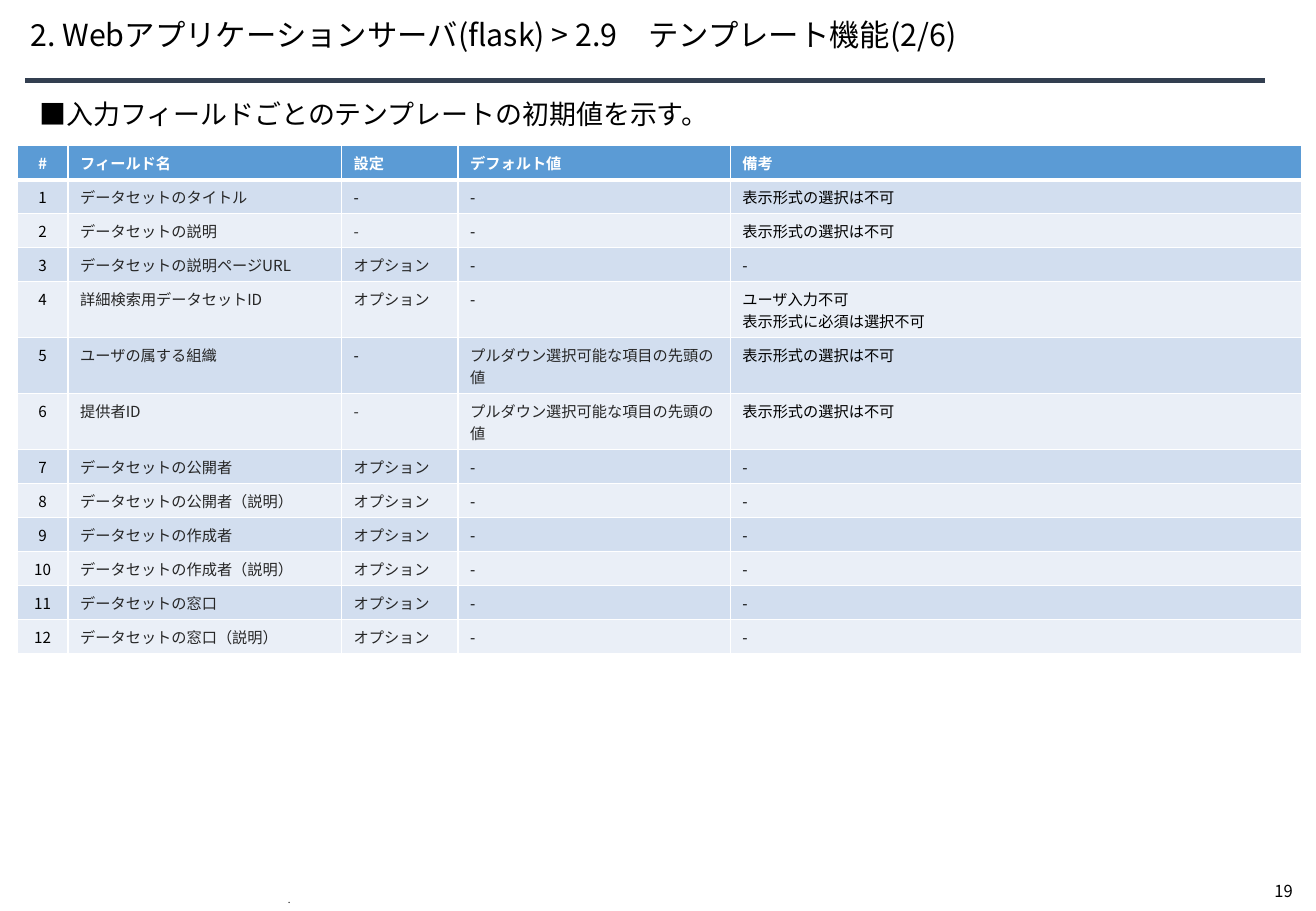
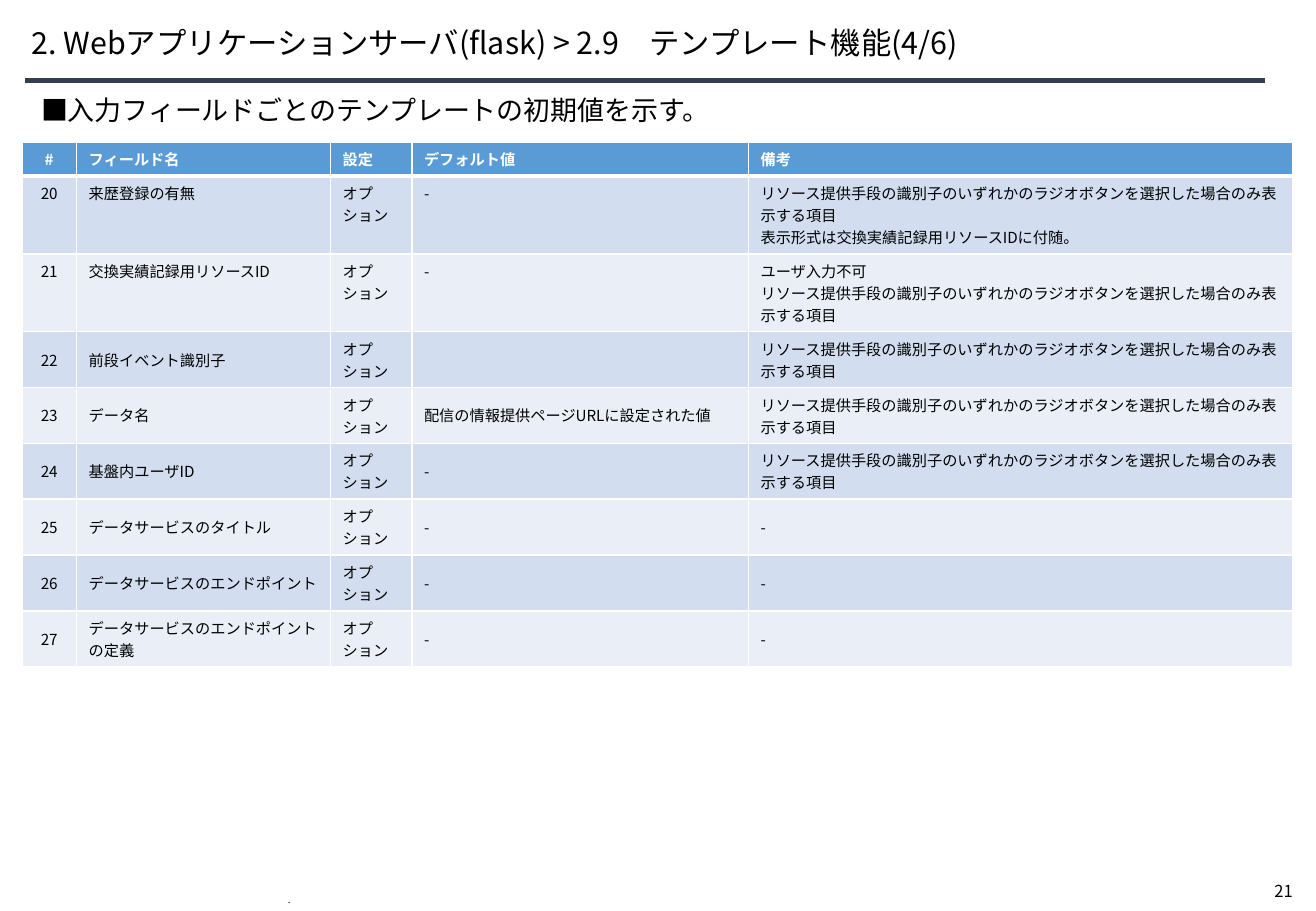
from pptx import Presentation
from pptx.dml.color import RGBColor
from pptx.enum import shapes, text
from pptx.oxml import parse_xml
from pptx.oxml.ns import nsdecls
from pptx.util import Inches, Pt

FONT = "Noto Sans CJK JP"
BLACK, GREY, WHITE, NAVY = "000000", "262626", "FFFFFF", "333F50"
HEADER, BANDS = "5B9BD5", ("D2DEEF", "EAEFF7")
ROW_HEIGHT, LINE_HEIGHT = 0.28, 0.18

HEADINGS = ["#", "フィールド名", "設定", "デフォルト値", "備考"]
OPTION = "オプション"
FIXED = "表示形式の選択は不可"
FIRST_ITEM = "プルダウン選択可能な項目の先頭の値"
RADIO_ONLY = "リソース提供手段の識別子のいずれかのラジオボタンを選択した場合のみ表示する項目"

# Each row: field, setting, default, remarks, lines of text in the tallest cell
initial_fields = [
    ("データセットのタイトル", "-", "-", FIXED, 1),
    ("データセットの説明", "-", "-", FIXED, 1),
    ("データセットの説明ページURL", OPTION, "-", "-", 1),
    ("詳細検索用データセットID", OPTION, "-", "ユーザ入力不可\n表示形式に必須は選択不可", 2),
    ("ユーザの属する組織", "-", FIRST_ITEM, FIXED, 2),
    ("提供者ID", "-", FIRST_ITEM, FIXED, 2),
] + [(f"データセットの{role}{suffix}", OPTION, "-", "-", 1)
     for role in ("公開者", "作成者", "窓口") for suffix in ("", "（説明）")]

resource_fields = [
    ("来歴登録の有無", OPTION, "-",
     RADIO_ONLY + "\n表示形式は交換実績記録用リソースIDに付随。", 3),
    ("交換実績記録用リソースID", OPTION, "-", "ユーザ入力不可\n" + RADIO_ONLY, 3),
    ("前段イベント識別子", OPTION, "", RADIO_ONLY, 2),
    ("データ名", OPTION, "配信の情報提供ページURLに設定された値", RADIO_ONLY, 2),
    ("基盤内ユーザID", OPTION, "-", RADIO_ONLY, 2),
    ("データサービスのタイトル", OPTION, "-", "-", 2),
    ("データサービスのエンドポイント", OPTION, "-", "-", 2),
    ("データサービスのエンドポイントの定義", OPTION, "-", "-", 2),
]

# Cells (row, column) in dark grey on the first slide
grey_cells = {(r, c) for r in range(1, 13) for c in (1, 2)} - {(1, 2), (5, 2)}
grey_cells |= {(5, 3), (6, 3)}

pages = [
    dict(number=19, part="2/6", title=(0.25, 0.07), lead=(0.23, 0.75, 0.26),
         table=(0.14, 1.2), cols=(0.42, 2.25, 0.96, 2.24, 4.7),
         fields=initial_fields, first=1, grey=grey_cells, middle_from=99),
    dict(number=21, part="4/6", title=(0.26, 0.13), lead=(0.24, 0.72, 0.34),
         table=(0.18, 1.17), cols=(0.45, 2.09, 0.67, 2.77, 4.48),
         fields=resource_fields, first=20, grey=set(), middle_from=3),
]


def rgb(value):
    return RGBColor.from_string(value)


def write(tf, content, size, color=BLACK, bold=False, align=text.PP_ALIGN.LEFT):
    """Fill a text frame and format every run, Japanese glyphs included."""
    tf.text = content
    for p in tf.paragraphs:
        p.alignment = align
        for r in p.runs:
            r.font.size, r.font.bold, r.font.name = Pt(size), bold, FONT
            r.font.color.rgb = rgb(color)
            r._r.rPr.append(parse_xml(f'<a:ea {nsdecls("a")} typeface="{FONT}"/>'))


prs = Presentation()
prs.slide_width, prs.slide_height = Inches(10.83), Inches(7.5)

for page in pages:
    s = prs.slides.add_slide(prs.slide_layouts[6])

    # Page number, rule and footer dot
    sp = s.shapes.add_textbox(Inches(10.39), Inches(7.2), Inches(0.43), Inches(0.27))
    sp.text_frame.word_wrap = False
    write(sp.text_frame, str(page["number"]), 9.8)

    rule = s.shapes.add_connector(shapes.MSO_CONNECTOR.STRAIGHT, Inches(0.21),
                                  Inches(0.66), Inches(10.41), Inches(0.66))
    rule.line.color.rgb = rgb(NAVY)
    rule.line.width = Pt(3)
    rule._element.spPr.append(parse_xml(f'<a:effectLst {nsdecls("a")}/>'))

    sp = s.shapes.add_textbox(Inches(2.27), Inches(7.36), Inches(6.3), Inches(0.14))
    tf = sp.text_frame
    tf.word_wrap = True
    tf.vertical_anchor = text.MSO_ANCHOR.BOTTOM
    write(tf, ".", 5.7)
    tf.paragraphs[0].line_spacing = Pt(1.6)

    # Title
    left, top = page["title"]
    sp = s.shapes.add_textbox(Inches(left), Inches(top), Inches(9.92), Inches(0.47))
    tf = sp.text_frame
    tf.word_wrap = True
    tf.margin_left = 0
    tf.vertical_anchor = text.MSO_ANCHOR.MIDDLE
    write(tf, f"2. Webアプリケーションサーバ(flask) > 2.9　テンプレート機能({page['part']})", 18)
    tf.paragraphs[0].line_spacing = 0.9

    # Table of fields
    rows = [HEADINGS] + [[str(n), *field[:4]]
                         for n, field in enumerate(page["fields"], page["first"])]
    heights = [ROW_HEIGHT] + [ROW_HEIGHT + LINE_HEIGHT * (field[4] - 1)
                              for field in page["fields"]]
    left, top = page["table"]
    table = s.shapes.add_table(len(rows), len(HEADINGS), Inches(left), Inches(top),
                               Inches(sum(page["cols"])), Inches(sum(heights))).table
    for column, width in zip(table.columns, page["cols"]):
        column.width = Inches(width)
    for r, (row, height) in enumerate(zip(rows, heights)):
        table.rows[r].height = Inches(height)
        for c, content in enumerate(row):
            cell = table.cell(r, c)
            is_head = r == 0
            color = WHITE if is_head else GREY if (r, c) in page["grey"] else BLACK
            align = text.PP_ALIGN.CENTER if c == 0 else text.PP_ALIGN.LEFT
            write(cell.text_frame, content, 9, color, is_head, align)
            is_middle = is_head or r >= page["middle_from"]
            cell.vertical_anchor = text.MSO_ANCHOR.MIDDLE if is_middle else text.MSO_ANCHOR.TOP
            for side in "LRTB":
                is_thick = (r, side) in ((0, "B"), (1, "T"))
                cell._tc.get_or_add_tcPr().append(parse_xml(
                    f'<a:ln{side} {nsdecls("a")} w="{Pt(3 if is_thick else 1)}"><a:solidFill>'
                    f'<a:srgbClr val="{WHITE}"/></a:solidFill></a:ln{side}>'))
            cell.fill.solid()
            cell.fill.fore_color.rgb = rgb(HEADER if is_head else BANDS[(r - 1) % 2])

    # Lead sentence
    left, top, height = page["lead"]
    sp = s.shapes.add_shape(shapes.MSO_SHAPE.RECTANGLE, Inches(left), Inches(top),
                            Inches(10.37), Inches(height))
    sp.shadow.inherit = False
    sp.fill.solid()
    sp.fill.fore_color.rgb = rgb(WHITE)
    sp.line.fill.background()
    sp.text_frame.word_wrap = True
    sp.text_frame.vertical_anchor = text.MSO_ANCHOR.TOP
    write(sp.text_frame, "■入力フィールドごとのテンプレートの初期値を示す。", 16)

prs.save("out.pptx")
